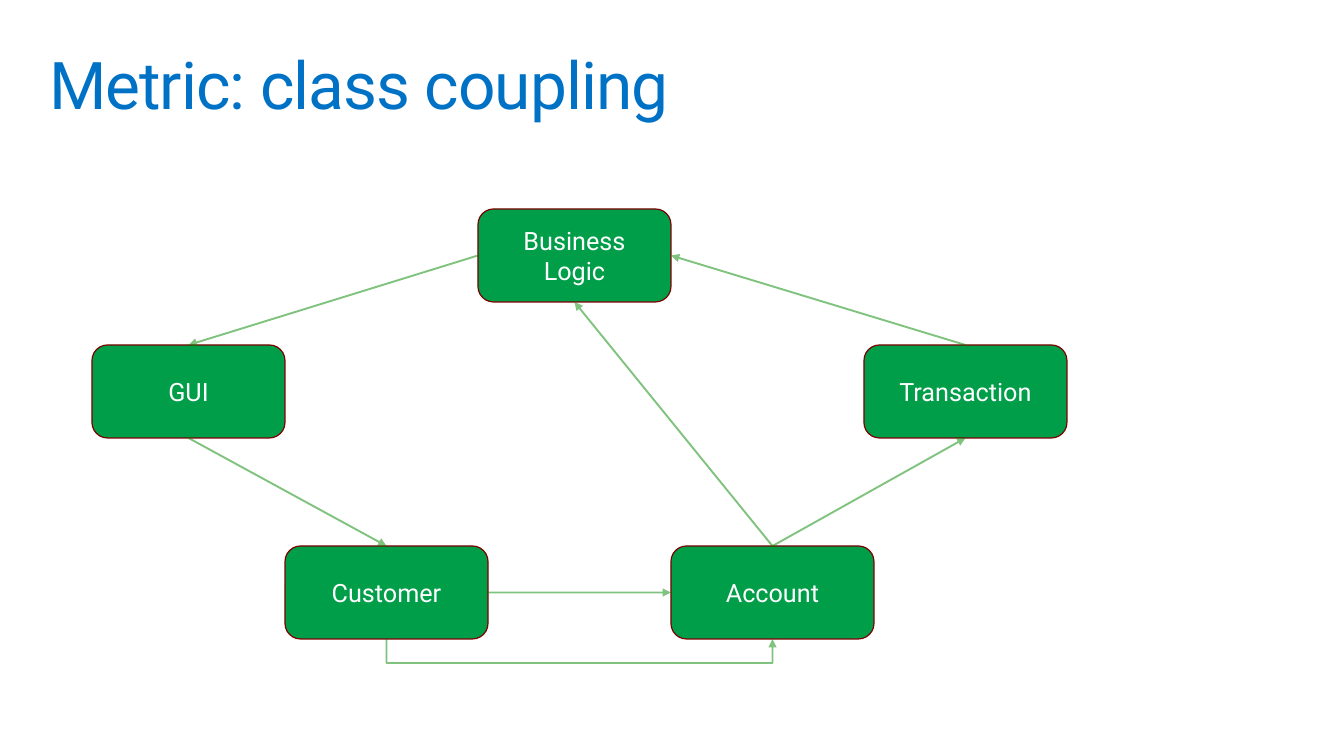
from lxml import etree
from pptx import Presentation
from pptx.dml.color import RGBColor
from pptx.enum.shapes import MSO_CONNECTOR, MSO_SHAPE
from pptx.enum.text import MSO_ANCHOR, PP_ALIGN
from pptx.oxml.ns import qn
from pptx.util import Pt

TITLE = "Metric: class coupling"
BOX_H = 93
# class name: left, top, width
CLASSES = {
    "Business Logic": (478, 209, 193),
    "GUI": (92, 345, 193),
    "Customer": (285, 546, 203),
    "Account": (671, 546, 203),
    "Transaction": (864, 345, 203),
}
TOP, LEFT, BOTTOM, RIGHT = range(4)  # connection sites of a rounded rectangle
DEPENDENCIES = [
    ("Account", TOP, "Business Logic", BOTTOM),
    ("Account", TOP, "Transaction", BOTTOM),
    ("Transaction", TOP, "Business Logic", RIGHT),
    ("Business Logic", LEFT, "GUI", TOP),
    ("GUI", BOTTOM, "Customer", TOP),
    ("Customer", RIGHT, "Account", LEFT),
]
LOOP_DROP = 24

FONT = "Roboto"
BLUE, GREEN, DARK_RED = "0072C6", "009E49", "7C0000"
ARROW_GREEN, WHITE = "008900", "FFFFFF"
ROUNDED, STRAIGHT = MSO_SHAPE.ROUNDED_RECTANGLE, MSO_CONNECTOR.STRAIGHT
MIDDLE, CENTER = MSO_ANCHOR.MIDDLE, PP_ALIGN.CENTER


def px(n):
    return round(n * 914400 / 100.8)


def rgb(value):
    return RGBColor.from_string(value)


def add_run(p, text, size, color):
    r = p.add_run()
    r.text = text
    r.font.name, r.font.size = FONT, Pt(size)
    r.font.color.rgb = rgb(color)
    return r


def add_class(shapes, name, left, top, width):
    s = shapes.add_shape(ROUNDED, px(left), px(top), px(width), px(BOX_H))
    s.shadow.inherit = False
    s.fill.solid()
    s.fill.fore_color.rgb = rgb(GREEN)
    s.line.color.rgb = rgb(DARK_RED)
    s.line.width = Pt(0.85)
    tf = s.text_frame
    tf.word_wrap = True
    tf.vertical_anchor = MIDDLE
    p = tf.paragraphs[0]
    p.alignment = CENTER
    add_run(p, name, 18, WHITE)
    return s


def style_arrow(s):
    """Half-transparent green line with a triangle at its end and no shadow."""
    s.line.color.rgb = rgb(ARROW_GREEN)
    s.line.width = Pt(1.35)
    ln = s.line._ln
    color = ln.find(".//" + qn("a:srgbClr"))
    etree.SubElement(color, qn("a:alpha"), val="50000")
    etree.SubElement(ln, qn("a:tailEnd"), type="triangle")
    etree.SubElement(s._element.spPr, qn("a:effectLst"))


def add_dependency(shapes, source, source_site, target, target_site):
    c = shapes.add_connector(STRAIGHT, 0, 0, 0, 0)
    c.begin_connect(source, source_site)
    c.end_connect(target, target_site)
    style_arrow(c)


def add_loop(shapes, source, target):
    """Arrow that runs below two boxes, from bottom centre to bottom centre."""
    x1, x2 = (b.left + b.width // 2 for b in (source, target))
    y = source.top + source.height
    low = y + px(LOOP_DROP)
    path = shapes.build_freeform(x1, y)
    path.add_line_segments([(x1, low), (x2, low), (x2, y)], close=False)
    s = path.convert_to_shape()
    s.fill.background()
    style_arrow(s)


def main():
    prs = Presentation()
    prs.slide_width, prs.slide_height = px(1344), px(756)
    slide = prs.slides.add_slide(prs.slide_layouts[5])
    shapes = slide.shapes

    title = shapes.title
    title.left, title.top = px(39), px(39)
    title.width, title.height = px(1265), px(99)
    tf = title.text_frame
    tf.margin_left = tf.margin_top = tf.margin_right = tf.margin_bottom = px(10)
    tf.vertical_anchor = MIDDLE
    p = tf.paragraphs[0]
    p.alignment = PP_ALIGN.LEFT
    p.line_spacing = 0.9
    r = add_run(p, TITLE, 47, BLUE)
    r.font._element.set("spc", "-70")

    boxes = {name: add_class(shapes, name, *at) for name, at in CLASSES.items()}
    for source, source_site, target, target_site in DEPENDENCIES:
        add_dependency(shapes, boxes[source], source_site, boxes[target], target_site)
    add_loop(shapes, boxes["Customer"], boxes["Account"])

    prs.save("out.pptx")


if __name__ == "__main__":
    main()
